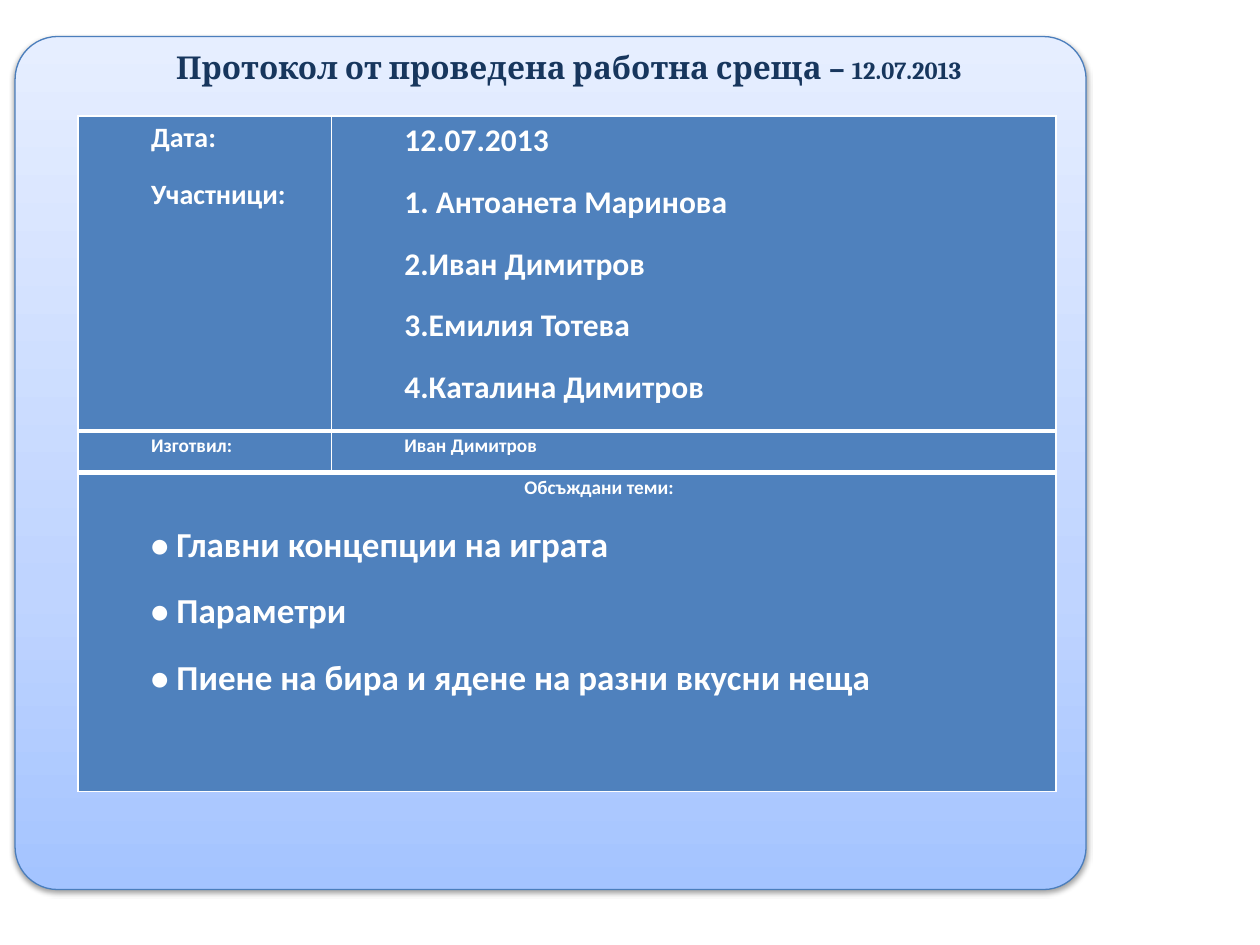
import pptx
import pptx.util
import pptx.dml.color
import pptx.enum.shapes
import pptx.enum.text
import pptx.oxml
import pptx.oxml.ns

Inches, Pt = pptx.util.Inches, pptx.util.Pt
ALIGN = pptx.enum.text.PP_ALIGN
NS = pptx.oxml.ns.nsdecls("a")

COLORS = {
    "cell": "4F81BD",
    "white": "FFFFFF",
    "title": "17365D",
    "outline": "4B7EBC",
    "shadow": "000000",
}
PANEL_STOPS = [(0, "A4C4FF"), (35, "BFD4FF"), (100, "E6EEFF")]


def rgb(name):
    return pptx.dml.color.RGBColor.from_string(COLORS[name])


class MinutesSlide:
    """Style and drawing methods for the meeting minutes slide."""

    body_font = "Calibri"
    title_font = "Cambria"

    def __init__(self, prs):
        self.slide = prs.slides.add_slide(prs.slide_layouts[6])

    def run(self, p, text, size, color, font):
        r = p.add_run()
        r.text = text
        r.font.size = Pt(size)
        r.font.name = font
        r.font.bold = True
        r.font.color.rgb = rgb(color)

    def panel(self, left, top, width, height):
        sp = self.slide.shapes.add_shape(
            pptx.enum.shapes.MSO_SHAPE.ROUNDED_RECTANGLE,
            Inches(left), Inches(top), Inches(width), Inches(height))
        sp.adjustments[0] = 0.05
        sp.line.color.rgb = rgb("outline")
        sp.line.width = Pt(0.75)
        # Three-stop gradient running upwards
        stops = "".join(
            f'<a:gs pos="{pos * 1000}"><a:srgbClr val="{color}"/></a:gs>'
            for pos, color in PANEL_STOPS)
        sp.fill.background()
        spPr = sp._element.spPr
        no_fill = spPr.find(pptx.oxml.ns.qn("a:noFill"))
        spPr.replace(no_fill, pptx.oxml.parse_xml(
            f'<a:gradFill {NS} rotWithShape="1"><a:gsLst>{stops}</a:gsLst>'
            '<a:lin ang="16200000" scaled="0"/></a:gradFill>'))
        # Soft shadow below
        sp.shadow.inherit = False
        effects = spPr.find(pptx.oxml.ns.qn("a:effectLst"))
        effects.append(pptx.oxml.parse_xml(
            f'<a:outerShdw {NS} blurRad="{Pt(3.1)}" dist="{Pt(1.6)}" '
            f'dir="5400000" rotWithShape="0"><a:srgbClr val="{COLORS["shadow"]}">'
            '<a:alpha val="38000"/></a:srgbClr></a:outerShdw>'))

    def title(self, left, top, width, height, runs):
        tf = self.slide.shapes.add_textbox(
            Inches(left), Inches(top), Inches(width), Inches(height)).text_frame
        tf.word_wrap = True
        tf.auto_size = pptx.enum.text.MSO_AUTO_SIZE.SHAPE_TO_FIT_TEXT
        tf.vertical_anchor = pptx.enum.text.MSO_ANCHOR.MIDDLE
        for text, size in runs:
            self.run(tf.paragraphs[0], text, size, "title", self.title_font)

    def table(self, left, top, cols, rows):
        table = self.slide.shapes.add_table(
            len(rows), len(cols), Inches(left), Inches(top),
            Inches(sum(cols)), Inches(sum(rows))).table
        table.first_row = table.horz_banding = False
        for column, width in zip(table.columns, cols):
            column.width = Inches(width)
        for row, height in zip(table.rows, rows):
            row.height = Inches(height)
        # Thick rules between rows, thin lines elsewhere
        last = len(rows) - 1
        for i, row in enumerate(table.rows):
            for cell in row.cells:
                self.borders(cell, L=1, R=1, T=3 if i else 1, B=3 if i < last else 1)
                cell.fill.solid()
                cell.fill.fore_color.rgb = rgb("cell")
        return table

    def borders(self, cell, **widths):
        tcPr = cell._tc.get_or_add_tcPr()
        for side, width in widths.items():
            tcPr.append(pptx.oxml.parse_xml(
                f'<a:ln{side} {NS} w="{Pt(width)}"><a:solidFill>'
                f'<a:srgbClr val="{COLORS["white"]}"/></a:solidFill></a:ln{side}>'))

    def cell_text(self, cell, lines):
        cell.margin_left = cell.margin_right = Inches(0.07)
        cell.margin_top = cell.margin_bottom = 0
        tf = cell.text_frame
        for i, (text, size, align) in enumerate(lines):
            p = tf.add_paragraph() if i else tf.paragraphs[0]
            p.alignment = align
            p.line_spacing = 1.15
            p.space_after = Pt(10)
            p._p.get_or_add_pPr().set("marL", str(Inches(0.51)))
            self.run(p, text, size, "white", self.body_font)


def main():
    prs = pptx.Presentation()
    prs.slide_width, prs.slide_height = Inches(10), Inches(7.5)
    s = MinutesSlide(prs)

    # Background panel
    s.panel(0.12, 0.29, 8.5, 6.77)

    # Minutes table
    table = s.table(0.62, 0.92, [2.01, 5.75], [2.5, 0.33, 2.53])
    table.cell(2, 0).merge(table.cell(2, 1))
    people = ["1. Антоанета Маринова", "2.Иван Димитров",
              "3.Емилия Тотева", "4.Каталина Димитров"]
    topics = ["• Главни концепции на играта", "• Параметри",
              "• Пиене на бира и ядене на разни вкусни неща"]
    contents = {
        (0, 0): [(text, 16, ALIGN.JUSTIFY) for text in ("Дата:", "Участници:")],
        (0, 1): [(text, 18, ALIGN.JUSTIFY) for text in ["12.07.2013"] + people],
        (1, 0): [("Изготвил:", 11, ALIGN.JUSTIFY)],
        (1, 1): [("Иван Димитров", 11, ALIGN.JUSTIFY)],
        (2, 0): [("Обсъждани теми:", 11, ALIGN.CENTER)]
                + [(text, 20, ALIGN.LEFT) for text in topics],
    }
    for (row, col), lines in contents.items():
        s.cell_text(table.cell(row, col), lines)

    # Title
    s.title(1.3, 0.33, 7.32, 0.4,
            [("Протокол от проведена работна среща – ", 18), ("12.07.2013", 14)])

    prs.save("out.pptx")


if __name__ == "__main__":
    main()
